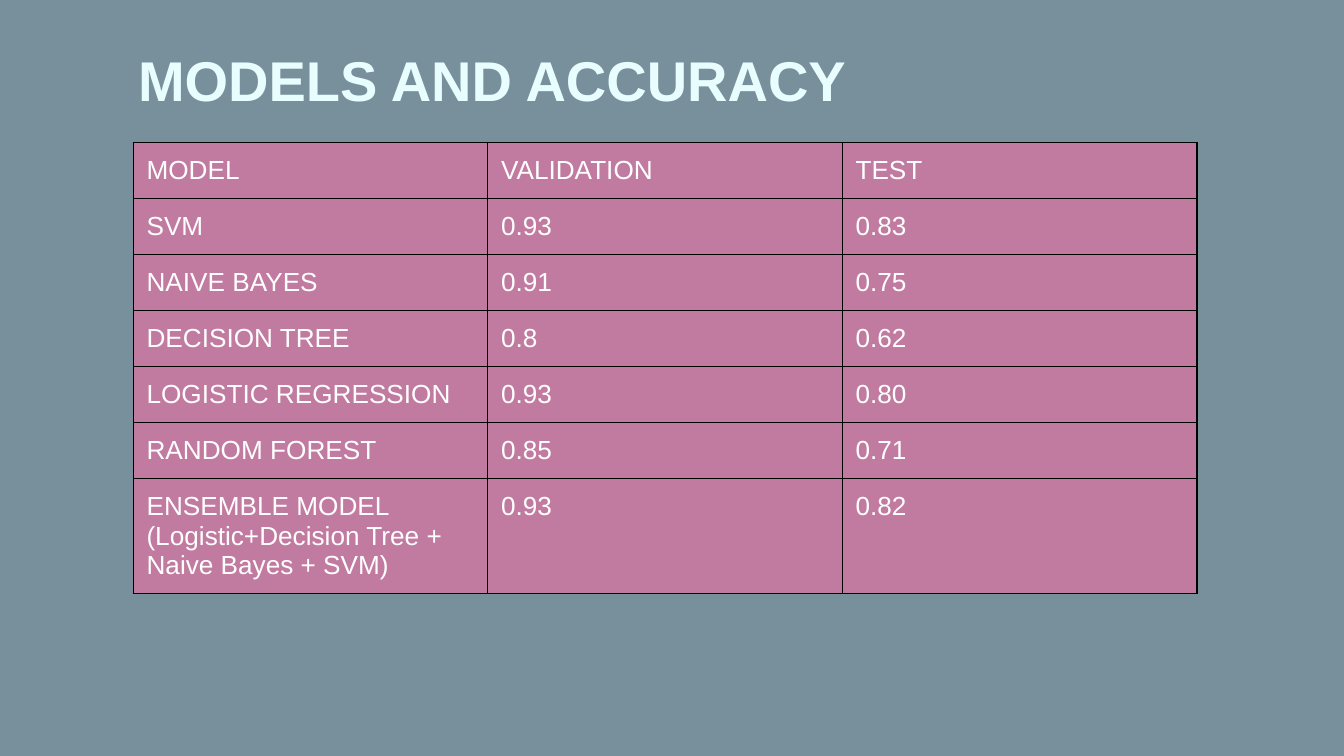
from lxml import etree
from pptx import Presentation
from pptx.dml.color import RGBColor
from pptx.enum.text import MSO_ANCHOR, MSO_AUTO_SIZE, PP_ALIGN
from pptx.oxml.ns import qn
from pptx.util import Cm, Pt

TOP = MSO_ANCHOR.TOP
LEFT = PP_ALIGN.LEFT
NO_FIT = MSO_AUTO_SIZE.NONE
TITLE_ONLY = 5

FONT = "Arial"
COLORS = {
    "background": "78909C",
    "title": "E8FDFE",
    "cell": "C27BA0",
    "text": "FFFFFF",
    "border": "000000",
}
INSET = Cm(0.25)
COLUMN_WIDTH = Cm(6.7)
ROW_HEIGHT = Cm(1.06)
BORDER_WIDTH = Pt(0.75)

SCORES = [
    ("MODEL", "VALIDATION", "TEST"),
    ("SVM", "0.93", "0.83"),
    ("NAIVE BAYES", "0.91", "0.75"),
    ("DECISION TREE", "0.8", "0.62"),
    ("LOGISTIC REGRESSION", "0.93", "0.80"),
    ("RANDOM FOREST", "0.85", "0.71"),
    ("ENSEMBLE MODEL\n(Logistic+Decision Tree + Naive Bayes + SVM)", "0.93", "0.82"),
]


def color(name):
    return RGBColor.from_string(COLORS[name])


def set_insets(target):
    target.margin_left = target.margin_right = INSET
    target.margin_top = target.margin_bottom = INSET
    target.vertical_anchor = TOP


def write_text(frame, text, size, color_name, bold=False):
    frame.text = text
    for paragraph in frame.paragraphs:
        paragraph.alignment = LEFT
        paragraph.font.name = FONT
        paragraph.font.size = Pt(size)
        paragraph.font.bold = bold
        paragraph.font.color.rgb = color(color_name)


def add_title(page, text):
    title = page.shapes.title
    title.left, title.top = Cm(2.36), Cm(0.61)
    title.width, title.height = Cm(14.83), Cm(1.6)
    frame = title.text_frame
    frame.word_wrap = True
    frame.auto_size = NO_FIT
    set_insets(frame)
    write_text(frame, text, 30, "title", bold=True)


def add_borders(cell):
    properties = cell._tc.get_or_add_tcPr()
    # Border lines must come before the cell fill
    for index, side in enumerate(("a:lnL", "a:lnR", "a:lnT", "a:lnB")):
        line = etree.Element(qn(side), w=str(BORDER_WIDTH))
        fill = etree.SubElement(line, qn("a:solidFill"))
        etree.SubElement(fill, qn("a:srgbClr"), val=COLORS["border"])
        properties.insert(index, line)


def add_score_table(page, rows):
    column_count = len(rows[0])
    frame = page.shapes.add_table(
        len(rows), column_count, Cm(2.52), Cm(2.69),
        COLUMN_WIDTH * column_count, ROW_HEIGHT * len(rows))
    table = frame.table
    table.first_row = table.horz_banding = False
    for row, texts in zip(table.rows, rows):
        for cell, text in zip(row.cells, texts):
            set_insets(cell)
            cell.fill.solid()
            cell.fill.fore_color.rgb = color("cell")
            add_borders(cell)
            write_text(cell.text_frame, text, 14, "text")


def main():
    deck = Presentation()
    deck.slide_width, deck.slide_height = Cm(25.4), Cm(14.29)
    page = deck.slides.add_slide(deck.slide_layouts[TITLE_ONLY])
    page.background.fill.solid()
    page.background.fill.fore_color.rgb = color("background")

    # Heading and model scores
    add_title(page, "MODELS AND ACCURACY")
    add_score_table(page, SCORES)

    deck.save("out.pptx")


if __name__ == "__main__":
    main()
